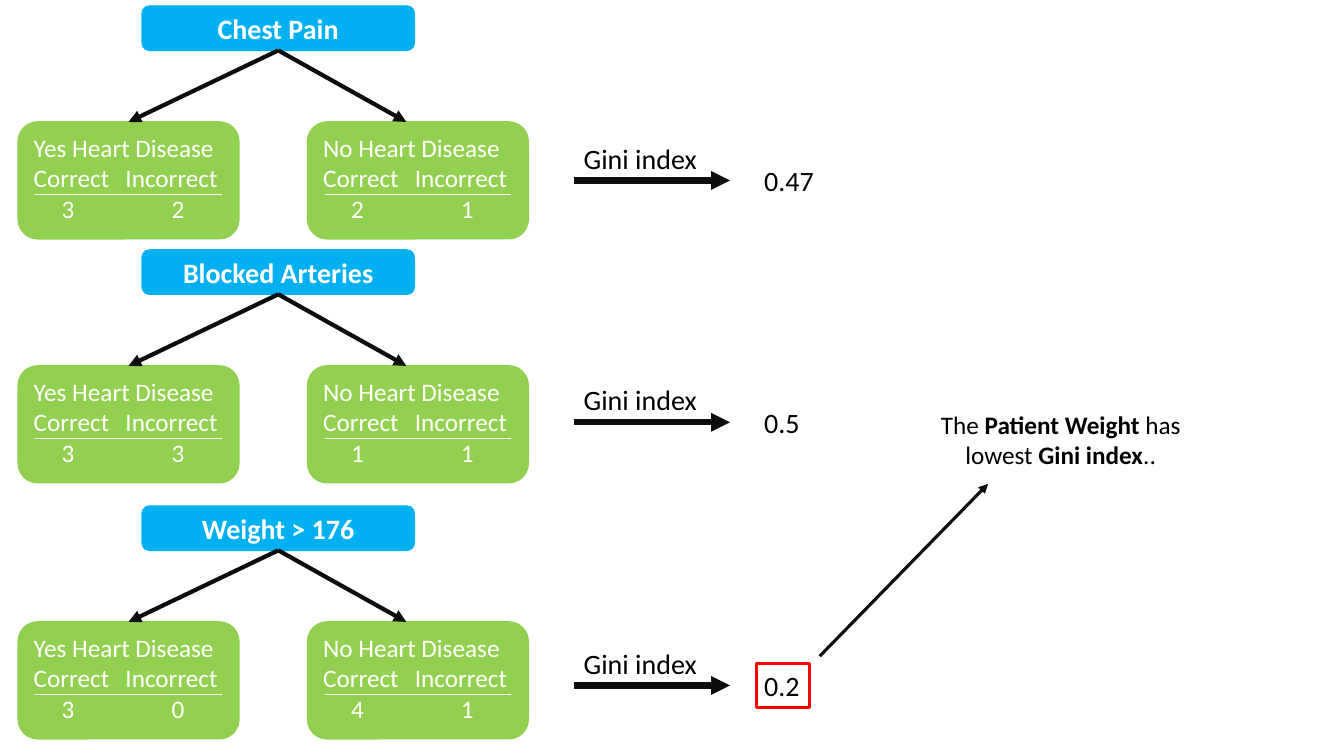
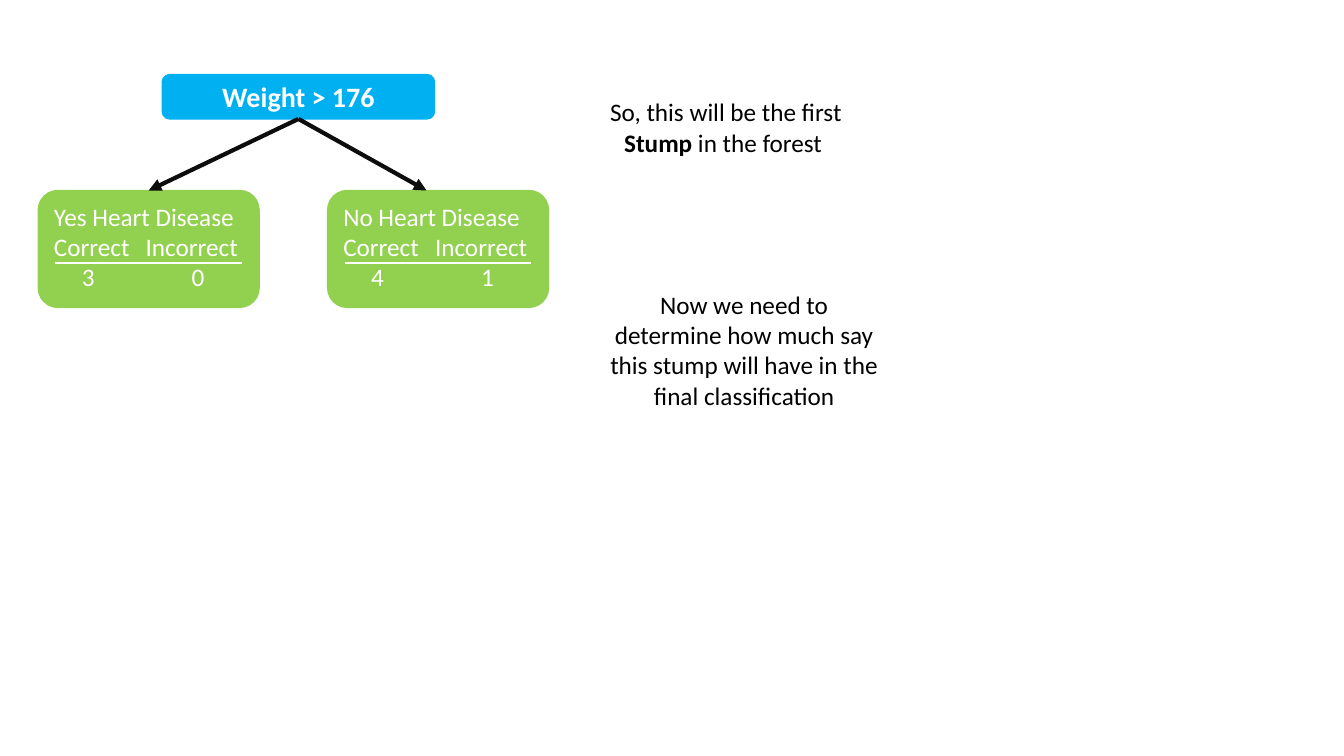
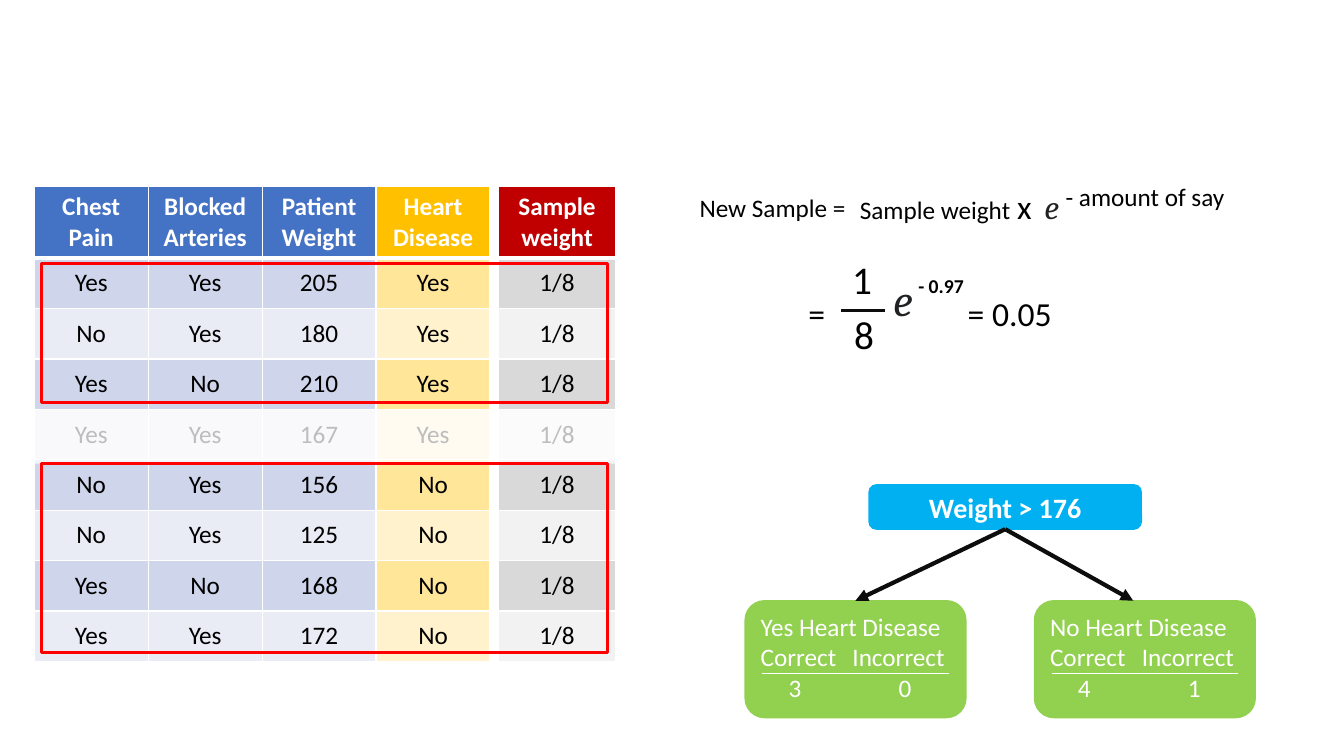
from pptx import Presentation
from pptx.dml.color import RGBColor
from pptx.enum.shapes import MSO_CONNECTOR, MSO_SHAPE
from pptx.enum.text import MSO_ANCHOR, PP_ALIGN
from pptx.oxml.ns import qn
from pptx.util import Inches, Pt
from lxml.etree import SubElement

COLORS = {
    "root": "00B0F0", "leaf": "92D050", "line": "0D0D0D", "text": "000000",
    "white": "FFFFFF", "mark": "FF0000", "symbol": "202122",
    "blue": "4472C4", "blue_dark": "CFD5EA", "blue_light": "E9EBF5",
    "gold": "FFC000", "gold_dark": "FFE699", "gold_light": "FFF2CC",
    "red": "C00000", "gray_dark": "D9D9D9", "gray_light": "F2F2F2",
}
BLUE = ("blue", "blue_dark", "blue_light")
GOLD = ("gold", "gold_dark", "gold_light")
RED = ("red", "gray_dark", "gray_light")
PATIENTS = [
    ("Yes", "Yes", "205", "Yes"),
    ("No", "Yes", "180", "Yes"),
    ("Yes", "No", "210", "Yes"),
    ("Yes", "Yes", "167", "Yes"),
    ("No", "Yes", "156", "No"),
    ("No", "Yes", "125", "No"),
    ("Yes", "No", "168", "No"),
    ("Yes", "Yes", "172", "No"),
]
HEADER_HEIGHT = 0.69
ROW_HEIGHT = 0.5


def color(name):
    return RGBColor.from_string(COLORS[name])


def add_run(paragraph, text, size, name="text", bold=False, italic=False, font="Calibri"):
    run = paragraph.add_run()
    run.text = text
    run.font.name = font
    run.font.size = Pt(size)
    run.font.bold = bold
    run.font.italic = italic
    run.font.color.rgb = color(name)


def add_text(slide, left, top, width, height, parts, size, align=PP_ALIGN.LEFT,
             anchor=MSO_ANCHOR.TOP, **style):
    box = slide.shapes.add_textbox(Inches(left), Inches(top), Inches(width), Inches(height))
    frame = box.text_frame
    frame.word_wrap = True
    frame.vertical_anchor = anchor
    paragraph = frame.paragraphs[0]
    paragraph.alignment = align
    for text, bold in parts:
        add_run(paragraph, text, size, bold=bold, **style)


def add_box(slide, kind, left, top, width, height, fill=None, line=None, line_width=1):
    shape = slide.shapes.add_shape(kind, Inches(left), Inches(top), Inches(width), Inches(height))
    shape.shadow.inherit = False
    if fill:
        shape.fill.solid()
        shape.fill.fore_color.rgb = color(fill)
    else:
        shape.fill.background()
    if line:
        shape.line.color.rgb = color(line)
        shape.line.width = Pt(line_width)
    else:
        shape.line.fill.background()
    return shape


def add_line(slide, start, end, width, name="line", arrow=False):
    connector = slide.shapes.add_connector(
        MSO_CONNECTOR.STRAIGHT, *(Inches(value) for value in (*start, *end)))
    connector.line.color.rgb = color(name)
    connector.line.width = Pt(width)
    if arrow:
        SubElement(connector.line._get_or_add_ln(), qn("a:tailEnd"), type="triangle")
    SubElement(connector._element.spPr, qn("a:effectLst"))
    return connector


def add_tabs(paragraph, stops):
    tab_list = SubElement(paragraph._p.get_or_add_pPr(), qn("a:tabLst"))
    for position, align in stops:
        SubElement(tab_list, qn("a:tab"), pos=str(Inches(position)), algn=align)


def add_leaf(slide, left, top, answer, correct, incorrect):
    leaf = add_box(slide, MSO_SHAPE.ROUNDED_RECTANGLE, left, top, 2.19, 1.16, "leaf", "leaf")
    frame = leaf.text_frame
    frame.vertical_anchor = MSO_ANCHOR.TOP
    rows = [
        (f"{answer} Heart Disease", []),
        ("Correct\tIncorrect", [(0.91, "l")]),
        (f"\t{correct}\t{incorrect}", [(0.34, "ctr"), (1.43, "ctr")]),
    ]
    for index, (text, stops) in enumerate(rows):
        paragraph = frame.add_paragraph() if index else frame.paragraphs[0]
        paragraph.alignment = PP_ALIGN.LEFT
        if stops:
            add_tabs(paragraph, stops)
        add_run(paragraph, text, 18, "white")
    rule = top + 0.72
    add_line(slide, (left + 0.17, rule), (left + 2.02, rule), 1, "white")
    return leaf


def add_stump(slide, left, top, question, yes_counts, no_counts):
    root = add_box(slide, MSO_SHAPE.ROUNDED_RECTANGLE, left + 1.23, top, 2.7, 0.44, "root", "root")
    frame = root.text_frame
    frame.vertical_anchor = MSO_ANCHOR.MIDDLE
    frame.paragraphs[0].alignment = PP_ALIGN.CENTER
    add_run(frame.paragraphs[0], question, 20, "white", bold=True)
    leaf_top = top + 1.15
    yes_leaf = add_leaf(slide, left, leaf_top, "Yes", *yes_counts)
    add_leaf(slide, left + 2.87, leaf_top, "No", *no_counts)
    for tip in (1.09, 3.85):
        branch = add_line(slide, (left + 2.58, top + 0.44), (left + tip, leaf_top), 3, arrow=True)
        branch.begin_connect(root, 2)
        if tip == 1.09:
            branch.end_connect(yes_leaf, 0)


def add_gini(slide, left, top, value):
    add_line(slide, (left + 0.23, top + 0.44), (left + 1.78, top + 0.44), 4.5, arrow=True)
    add_text(slide, left, top, 1.78, 0.44, [("Gini index", False)], 20, PP_ALIGN.CENTER)
    add_text(slide, left + 2.02, top + 0.22, 0.91, 0.44, [(value, False)], 20)


def set_borders(cell, top, bottom):
    properties = cell._tc.get_or_add_tcPr()
    for side, width in (("L", 1), ("R", 1), ("T", top), ("B", bottom)):
        line = SubElement(properties, qn(f"a:ln{side}"), w=str(Pt(width)))
        fill = SubElement(line, qn("a:solidFill"))
        SubElement(fill, qn("a:srgbClr"), val=COLORS["white"])


def add_data_table(slide, left, top, column_width, headers, rows, palettes):
    height = HEADER_HEIGHT + ROW_HEIGHT * len(rows)
    table = slide.shapes.add_table(
        len(rows) + 1, len(headers), Inches(left), Inches(top),
        Inches(column_width * len(headers)), Inches(height)).table
    for column in table.columns:
        column.width = Inches(column_width)
    for row_index, values in enumerate([headers, *rows]):
        is_header = row_index == 0
        table.rows[row_index].height = Inches(HEADER_HEIGHT if is_header else ROW_HEIGHT)
        shade = 0 if is_header else 2 - row_index % 2
        for column_index, value in enumerate(values):
            cell = table.cell(row_index, column_index)
            set_borders(cell, 3 if row_index == 1 else 1, 3 if is_header else 1)
            cell.fill.solid()
            cell.fill.fore_color.rgb = color(palettes[column_index][shade])
            cell.vertical_anchor = MSO_ANCHOR.MIDDLE
            for index, text in enumerate(value.split("\n")):
                frame = cell.text_frame
                paragraph = frame.add_paragraph() if index else frame.paragraphs[0]
                paragraph.alignment = PP_ALIGN.CENTER
                add_run(paragraph, text, 18, "white" if is_header else "text", bold=is_header)


def add_veil(slide, left, top, width, height):
    veil = add_box(slide, MSO_SHAPE.RECTANGLE, left, top, width, height, "white")
    fill_color = veil._element.spPr.find(qn("a:solidFill"))[0]
    SubElement(fill_color, qn("a:alpha"), val="74000")


def add_mark(slide, left, top, width, height):
    add_box(slide, MSO_SHAPE.RECTANGLE, left, top, width, height, line="mark", line_width=2.25)


def add_weight_formula(slide, left, top):
    for x, y, width, height, text, size in (
        (0, 0.11, 1.93, 0.4, "New Sample =", 18),
        (1.59, 0.13, 1.77, 0.4, "Sample weight", 18),
        (3.15, 0.05, 0.27, 0.5, "x", 24),
        (3.63, 0, 1.85, 0.4, "- amount of say", 18),
    ):
        add_text(slide, left + x, top + y, width, height, [(text, False)], size)
    add_text(slide, left + 3.42, top + 0.05, 0.33, 0.5, [("e", False)], 24,
             name="symbol", italic=True, font="Cambria")


def add_weight_result(slide, left, top):
    add_line(slide, (left + 0.42, top + 0.6), (left + 0.86, top + 0.6), 2.25)
    for x, y, digit in ((0.4, 0, "1"), (0.42, 0.55, "8")):
        add_text(slide, left + x, top + y, 0.46, 0.57, [(digit, False)], 28,
                 PP_ALIGN.CENTER, MSO_ANCHOR.MIDDLE)
    add_text(slide, left, top + 0.38, 0.37, 0.5, [("=", False)], 24)
    add_text(slide, left + 0.84, top + 0.17, 0.45, 0.64, [("e", False)], 32,
             name="symbol", italic=True, font="Cambria")
    add_text(slide, left + 1.09, top + 0.19, 0.9, 0.34, [("- 0.97", True)], 14)
    add_text(slide, left + 1.58, top + 0.38, 1.4, 0.5, [("= 0.05", False)], 24)


def build_comparison(slide):
    for stump_top, question, yes_counts, no_counts, gini_top, gini in (
        (0.06, "Chest Pain", (3, 2), (2, 1), 1.35, "0.47"),
        (2.48, "Blocked Arteries", (3, 3), (1, 1), 3.75, "0.5"),
        (5.02, "Weight > 176", (3, 0), (4, 1), 6.36, "0.2"),
    ):
        add_stump(slide, 0.18, stump_top, question, yes_counts, no_counts)
        add_gini(slide, 5.46, gini_top, gini)
    add_mark(slide, 7.5, 6.58, 0.53, 0.44)
    add_line(slide, (8.13, 6.51), (9.8, 4.8), 2.25, arrow=True)
    add_text(slide, 9.23, 4.01, 2.58, 0.71, [
        ("The ", False), ("Patient Weight ", True), ("has lowest ", False),
        ("Gini index", True), ("..", False)], 18, PP_ALIGN.CENTER)


def build_first_stump(slide):
    add_stump(slide, 0.38, 0.74, "Weight > 176", (3, 0), (4, 1))
    add_text(slide, 5.94, 0.91, 2.52, 0.71, [
        ("So, this will be the first ", False), ("Stump", True),
        (" in the forest ", False)], 18, PP_ALIGN.CENTER)
    add_text(slide, 5.94, 2.82, 2.88, 1.31, [
        ("Now we need to determine how much say this stump will have in the "
         "final classification", False)], 18, PP_ALIGN.CENTER)


def build_new_weights(slide):
    headers = ("Chest Pain", "Blocked\nArteries", "Patient Weight", "Heart Disease")
    add_data_table(slide, 0.34, 1.85, 1.13, headers, PATIENTS, (BLUE, BLUE, BLUE, GOLD))
    add_data_table(slide, 4.94, 1.85, 1.17, ("Sample weight",),
                   [("1/8",)] * len(PATIENTS), (RED,))
    add_stump(slide, 7.39, 4.81, "Weight > 176", (3, 0), (4, 1))
    add_veil(slide, 0.3, 4.07, 5.8, 0.53)
    for top, height in ((2.61, 1.38), (4.6, 1.87)):
        add_mark(slide, 0.41, top, 5.62, height)
    add_weight_formula(slide, 6.84, 1.75)
    add_weight_result(slide, 7.92, 2.48)


def main():
    presentation = Presentation()
    presentation.slide_width = Inches(13.33)
    presentation.slide_height = Inches(7.5)
    blank_layout = presentation.slide_layouts[6]
    for build in (build_comparison, build_first_stump, build_new_weights):
        build(presentation.slides.add_slide(blank_layout))
    presentation.save("out.pptx")


if __name__ == "__main__":
    main()
